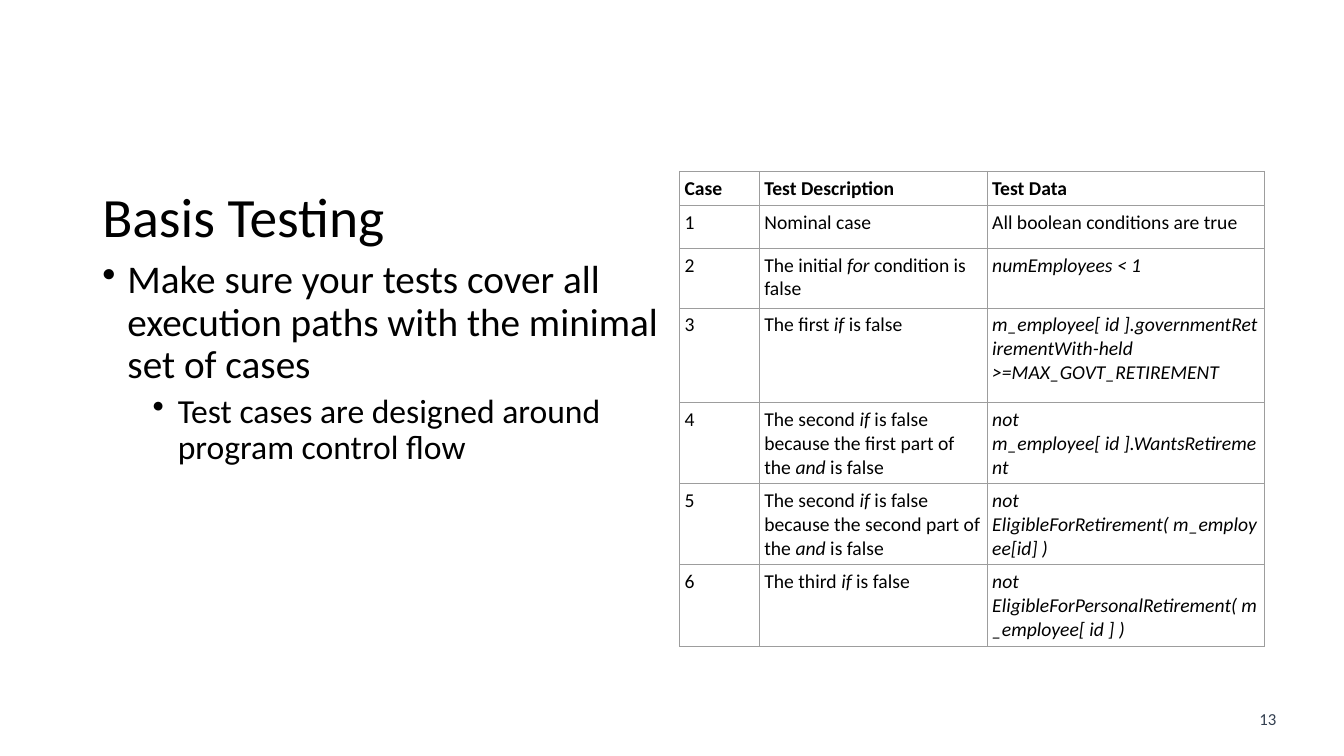
from typing import NamedTuple

from lxml.etree import SubElement
from pptx import Presentation
from pptx.dml.color import RGBColor
from pptx.enum.text import MSO_ANCHOR, PP_ALIGN
from pptx.oxml.ns import qn
from pptx.util import Pt

PX = 9525  # EMU per px, 96 px to the inch
FONT = "Calibri"
BLACK, WHITE, SLATE, GREY = "000000", "FFFFFF", "333F50", "9D9D9D"
NBSP = chr(160)


class Box(NamedTuple):
    left: int
    top: int
    width: int
    height: int

    def emu(self) -> list[int]:
        return [side * PX for side in self]


class Bullet(NamedTuple):
    text: str
    size: int
    level: int
    indent: int
    space_before: int


class TestCase(NamedTuple):
    case: str
    description: str
    data: str
    height: int


BULLETS = [
    Bullet("Make sure your tests cover all execution paths with the minimal set of cases",
           28, 0, 24, 10),
    Bullet("Test cases are designed around program control flow", 24, 1, 72, 5),
]
HANGING = 24

# Asterisks enclose italic words
TEST_CASES = [
    TestCase("Case", "Test Description", "Test Data", 32),
    TestCase("1", "Nominal case", "All boolean conditions are true", 41),
    TestCase("2", "The initial *for* condition is false", "*numEmployees < 1*", 57),
    TestCase("3", "The first *if* is false",
             "*m_employee[ id ].governmentRetirementWith-held >=MAX_GOVT_RETIREMENT*", 90),
    TestCase("4", "The second *if* is false because the first part of the *and* is false",
             "*not m_employee[ id ].WantsRetirement*", 77),
    TestCase("5", "The second *if* is false because the second part of the *and* is false",
             "*not EligibleForRetirement( m_employee[id] )*", 77),
    TestCase("6", "The third *if* is false",
             "*not EligibleForPersonalRetirement( m_employee[ id ] )*", 77),
]
COLUMN_WIDTHS = [76, 217, 264]
CELL_INSET = 5


def color(value: str) -> RGBColor:
    return RGBColor.from_string(value)


def style(paragraph, size: float, ink: str = BLACK) -> None:
    paragraph.font.name = FONT
    paragraph.font.size = Pt(size)
    paragraph.font.color.rgb = color(ink)


def add_frame(slide, box: Box):
    frame = slide.shapes.add_textbox(*box.emu()).text_frame
    frame.word_wrap = True
    return frame


def add_bullet(paragraph, bullet: Bullet) -> None:
    paragraph.text = bullet.text
    paragraph.level = bullet.level
    paragraph.line_spacing = 0.9
    paragraph.space_before = Pt(bullet.space_before)
    style(paragraph, bullet.size)
    properties = paragraph._p.get_or_add_pPr()
    properties.set("marL", str(bullet.indent * PX))
    properties.set("indent", str(-HANGING * PX))
    mark = properties.makeelement(qn("a:buChar"), {"char": "•"})
    properties.find(qn("a:defRPr")).addprevious(mark)


def add_borders(cell) -> None:
    properties = cell._tc.get_or_add_tcPr()
    for edge in ("lnL", "lnR", "lnT", "lnB"):
        line = SubElement(properties, qn(f"a:{edge}"), w=str(Pt(0.6)))
        fill = SubElement(line, qn("a:solidFill"))
        SubElement(fill, qn("a:srgbClr"), val=GREY)


def fill_cell(cell, text: str, bold: bool) -> None:
    add_borders(cell)
    cell.fill.solid()
    cell.fill.fore_color.rgb = color(WHITE)
    cell.margin_left = cell.margin_right = CELL_INSET * PX
    cell.margin_top = cell.margin_bottom = CELL_INSET * PX
    paragraph = cell.text_frame.paragraphs[0]
    style(paragraph, 14)
    paragraph.font.bold = bold
    # Spaces beside italic words do not break
    marked = text.replace(" *", NBSP + "*").replace("* ", "*" + NBSP)
    for index, part in enumerate(marked.split("*")):
        if part:
            run = paragraph.add_run()
            run.text = part
            run.font.size = Pt(14)
            run.font.name = FONT
            run.font.bold = bold
            run.font.italic = index % 2 == 1
            run.font.color.rgb = color(BLACK)


def add_case_table(slide, left: int, top: int) -> None:
    box = Box(left, top, sum(COLUMN_WIDTHS), sum(row.height for row in TEST_CASES))
    table = slide.shapes.add_table(len(TEST_CASES), len(COLUMN_WIDTHS), *box.emu()).table
    table.first_row = table.horz_banding = False
    for column, width in zip(table.columns, COLUMN_WIDTHS):
        column.width = width * PX
    for index, (row, test) in enumerate(zip(table.rows, TEST_CASES)):
        row.height = test.height * PX
        for cell, text in zip(row.cells, (test.case, test.description, test.data)):
            fill_cell(cell, text, bold=index == 0)


def main() -> None:
    deck = Presentation()
    deck.slide_width, deck.slide_height = 1280 * PX, 720 * PX
    slide = deck.slides.add_slide(deck.slide_layouts[6])

    # Slide number
    number = add_frame(slide, Box(1185, 670, 45, 29)).paragraphs[0]
    number.text = "13"
    number.alignment = PP_ALIGN.CENTER
    style(number, 12, SLATE)

    # Title
    title_frame = add_frame(slide, Box(88, 176, 1104, 67))
    title_frame.vertical_anchor = MSO_ANCHOR.MIDDLE
    title = title_frame.paragraphs[0]
    title.text = "Basis Testing"
    title.line_spacing = 0.9
    style(title, 39.6)

    # Bullets
    body = add_frame(slide, Box(88, 243, 580, 419))
    for index, bullet in enumerate(BULLETS):
        add_bullet(body.add_paragraph() if index else body.paragraphs[0], bullet)

    # Test cases
    add_case_table(slide, 647, 163)

    deck.save("out.pptx")


if __name__ == "__main__":
    main()
